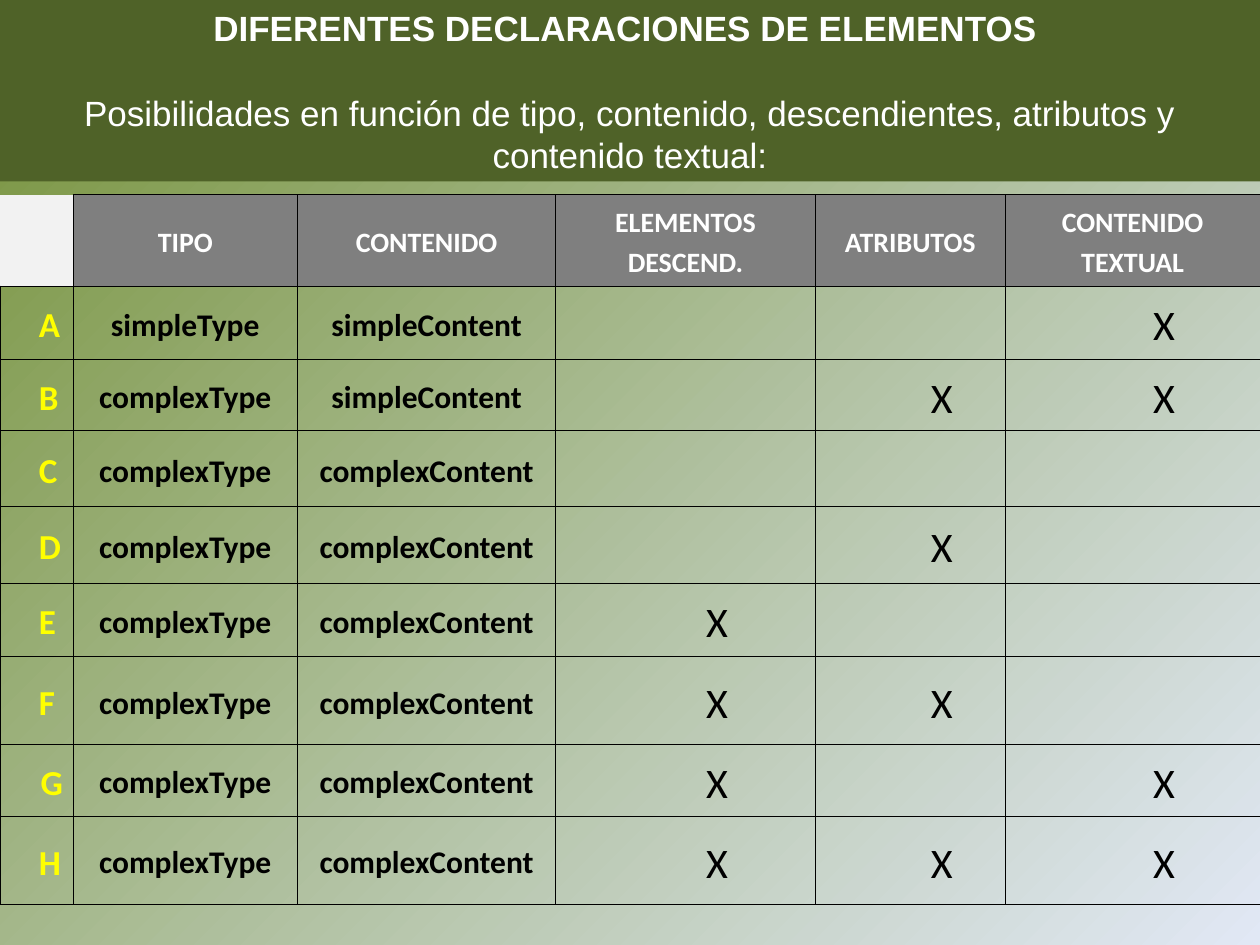
"""Build a slide with a table of the kinds of element declarations."""
import pptx
import pptx.dml.color
import pptx.enum.text
import pptx.oxml
import pptx.oxml.ns
import pptx.util

Pt = pptx.util.Pt
RGB = pptx.dml.color.RGBColor
ALIGN = pptx.enum.text.PP_ALIGN
MIDDLE = pptx.enum.text.MSO_ANCHOR.MIDDLE

OLIVE = RGB(0x4F, 0x62, 0x28)
GREEN = RGB(0x77, 0x93, 0x3C)
PALE = RGB(0xE1, 0xE8, 0xF5)
LIGHT = RGB(0xF2, 0xF2, 0xF2)
GREY = RGB(0x7F, 0x7F, 0x7F)
WHITE = RGB(0xFF, 0xFF, 0xFF)
YELLOW = RGB(0xFF, 0xFF, 0x00)
BLACK = RGB(0x00, 0x00, 0x00)

STYLES = {
    "title": dict(name="Arial", size=Pt(20), bold=True, color=WHITE),
    "lead": dict(name="Arial", size=Pt(20), bold=False, color=WHITE),
    "head": dict(name="Calibri", size=Pt(16), bold=True, color=WHITE),
    "letter": dict(name="Calibri", size=Pt(20), bold=True, color=YELLOW),
    "term": dict(name="Calibri", size=Pt(18), bold=True, color=BLACK),
    "mark": dict(name="Calibri", size=Pt(24), bold=False, color=BLACK),
}
INDENTS = {"letter": 17.3, "mark": 36}
WIDTHS = [41.8, 128.2, 147.6, 148.3, 108.7, 145.4]
HEIGHTS = [50.4, 41.8, 39.6, 43.2, 43.9, 41.8, 50.4, 39.6, 50.4]
HEADS = ["", "TIPO", "CONTENIDO", "ELEMENTOS DESCEND.", "ATRIBUTOS",
         "CONTENIDO TEXTUAL"]
KINDS = [
    ("A", "simple", "simple", "  X"),
    ("B", "complex", "simple", " XX"),
    ("C", "complex", "complex", "   "),
    ("D", "complex", "complex", " X "),
    ("E", "complex", "complex", "X  "),
    ("F", "complex", "complex", "XX "),
    ("G", "complex", "complex", "X X"),
    ("H", "complex", "complex", "XXX"),
]


class Deck:
    """Hold the styles and the current slide."""

    def __init__(self, styles):
        self.styles = styles
        self.show = pptx.Presentation()
        self.show.slide_width, self.show.slide_height = Pt(720), Pt(540)
        self.slide = self.show.slides.add_slide(self.show.slide_layouts[5])

    def ground(self, start, end):
        """Fill the background with a diagonal gradient."""
        fill = self.slide.background.fill
        fill.gradient()
        fill.gradient_angle = 315
        for stop, color in zip(fill.gradient_stops, (start, end)):
            stop.color.rgb = color

    def text(self, para, words, style):
        """Put styled text in a paragraph."""
        run = para.add_run()
        run.text = words
        for key, value in self.styles[style].items():
            if key == "color":
                run.font.color.rgb = value
            else:
                setattr(run.font, key, value)

    def title(self, height, head, lead):
        """Turn the title into a banner with a lead line."""
        shape = self.slide.shapes.title
        place = dict(left=0, top=0, width=self.show.slide_width,
                     height=Pt(height))
        for key, value in place.items():
            setattr(shape, key, value)
        shape.fill.solid()
        shape.fill.fore_color.rgb = OLIVE
        frame = shape.text_frame
        setup = dict(word_wrap=True, vertical_anchor=MIDDLE,
                     auto_size=pptx.enum.text.MSO_AUTO_SIZE.NONE)
        for key, value in setup.items():
            setattr(frame, key, value)
        first, second = frame.paragraphs[0], frame.add_paragraph()
        first.alignment = second.alignment = ALIGN.CENTER
        second.space_before = Pt(24.4)
        self.text(first, head, "title")
        self.text(second, lead, "lead")

    def edge(self, cell, sides):
        """Draw thin black borders on the given sides only."""
        props = cell._tc.get_or_add_tcPr()
        for spot, side in enumerate("LRTB"):
            paint = "<a:noFill/>"
            if side in sides:
                paint = f'<a:solidFill><a:srgbClr val="{BLACK}"/></a:solidFill>'
            line = pptx.oxml.parse_xml(
                f'<a:ln{side} {pptx.oxml.ns.nsdecls("a")} w="{Pt(0.45)}">'
                f'{paint}</a:ln{side}>')
            props.insert(spot, line)

    def cell(self, cell, words, style, fill=None, sides="LRTB"):
        """Fill and border one table cell and set its text."""
        if fill is None:
            cell.fill.background()
        else:
            cell.fill.solid()
            cell.fill.fore_color.rgb = fill
        self.edge(cell, sides)
        setup = dict(vertical_anchor=MIDDLE, margin_left=Pt(5),
                     margin_right=Pt(5), margin_top=Pt(3.6),
                     margin_bottom=Pt(3.6))
        for key, value in setup.items():
            setattr(cell, key, value)
        if not words:
            return
        para = cell.text_frame.paragraphs[0]
        left = style == "letter" and words != "G"
        para.alignment = ALIGN.LEFT if left else ALIGN.CENTER
        para.line_spacing = 1.15
        if style in INDENTS:
            para._p.get_or_add_pPr().set("marL", str(Pt(INDENTS[style])))
        self.text(para, words, style)

    def table(self, top, widths, heights, heads, rows):
        """Add the table with its head row and body rows."""
        frame = self.slide.shapes.add_table(
            len(heights), len(widths), 0, Pt(top),
            Pt(sum(widths)), Pt(sum(heights)))
        grid = frame.table
        grid.horz_banding = False
        for col, width in zip(grid.columns, widths):
            col.width = Pt(width)
        for row, height in zip(grid.rows, heights):
            row.height = Pt(height)
        for col, words in enumerate(heads):
            fill, sides = (GREY, "LRTB") if words else (LIGHT, "RB")
            self.cell(grid.cell(0, col), words, "head", fill, sides)
        looks = ["letter", "term", "term", "mark", "mark", "mark"]
        for row, (letter, kind, body, marks) in enumerate(rows, 1):
            texts = [letter, kind + "Type", body + "Content", *marks]
            for col, (words, style) in enumerate(zip(texts, looks)):
                self.cell(grid.cell(row, col), words.strip(), style)


def main():
    """Build and save the slide."""
    deck = Deck(STYLES)
    deck.ground(GREEN, PALE)
    deck.title(103.7, "DIFERENTES DECLARACIONES DE ELEMENTOS ",
               "Posibilidades en función de tipo, contenido, descendientes, "
               "atributos y contenido textual:")
    deck.table(111.3, WIDTHS, HEIGHTS, HEADS, KINDS)
    deck.show.save("out.pptx")


if __name__ == "__main__":
    main()
